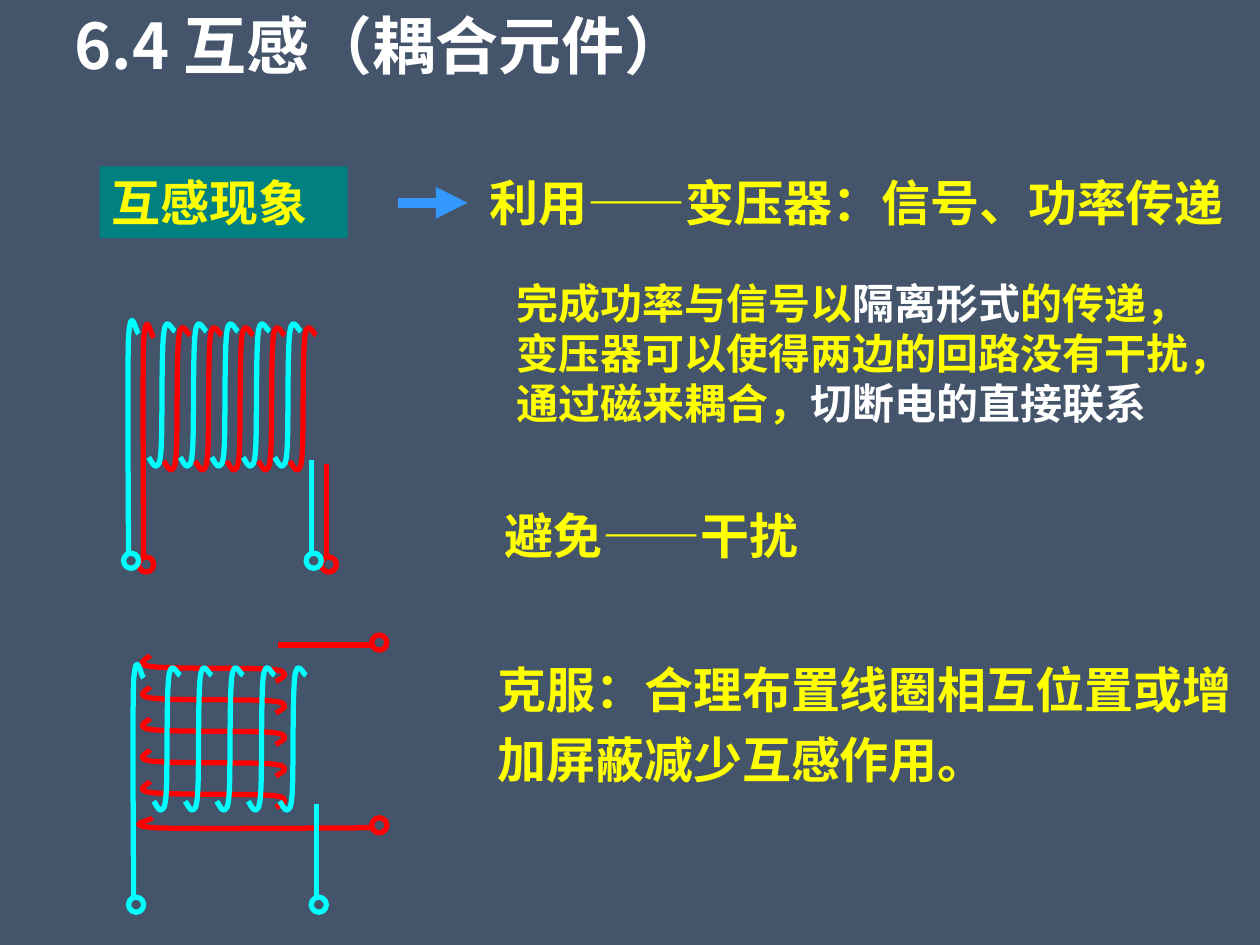
from dataclasses import dataclass

from lxml import etree
from pptx import Presentation
from pptx import util as u
from pptx.dml.color import RGBColor
from pptx.enum import shapes, text
from pptx.oxml.ns import qn


@dataclass(frozen=True)
class Theme:
    background: str = "44546A"
    label: str = "008080"
    yellow: str = "FFFF00"
    white: str = "FFFFFF"
    arrow: str = "3399FF"
    red: str = "FF0000"
    cyan: str = "00FFFF"
    title_font: str = "Noto Sans CJK SC"
    body_font: str = "Times New Roman"
    title_size: int = 36
    body_size: int = 28
    detail_size: int = 24
    wire: int = 3
    arrow_wire: int = 6


# Coil geometry in inches, measured from the coil's own top-left corner.
# Each curve is a start point followed by Bezier triples.
LEAD = [(0.04, 2), (0.04, 1.71), (0.03, 0.58), (0.04, 0.29),
        (0.06, 0), (0.1, 0.26), (0.12, 0.26)]
TURN = [(0, 1.24), (0.01, 1.25), (0.04, 1.32), (0.06, 1.31),
        (0.07, 1.29), (0.09, 1.33), (0.1, 1.16),
        (0.11, 0.98), (0.1, 0.41), (0.12, 0.25),
        (0.14, 0.1), (0.19, 0.24), (0.21, 0.24)]
TURN_COUNT, FIRST_TURN, TURN_PITCH = 5, 0.2, 0.25
TAIL = [(1.49, 1.26), (1.49, 2.01)]
TERMINALS = [(0.06, 2.06), (1.51, 2.06)]
TERMINAL_SIZE = 0.12


class SlideBuilder:
    def __init__(self, slide, theme):
        self.slide, self.theme = slide, theme
        fill = slide.background.fill
        fill.solid()
        fill.fore_color.rgb = RGBColor.from_string(theme.background)

    def stroke(self, shape, color, width):
        shape.line.color.rgb = RGBColor.from_string(color)
        shape.line.width = u.Pt(width)

    def set_text(self, shape, runs, size, font=None, frame_format=None, paragraph_format=None):
        """Fill a shape with one paragraph made of (wording, colour) runs."""
        frame = shape.text_frame
        frame_values = {
            "word_wrap": True,
            "auto_size": text.MSO_AUTO_SIZE.SHAPE_TO_FIT_TEXT,
            "vertical_anchor": text.MSO_ANCHOR.TOP,
        } | (frame_format or {})
        for name, value in frame_values.items():
            setattr(frame, name, value)
        paragraph = frame.paragraphs[0]
        paragraph_values = {"alignment": text.PP_ALIGN.LEFT} | (paragraph_format or {})
        for name, value in paragraph_values.items():
            setattr(paragraph, name, value)
        font_values = {"name": font or self.theme.body_font, "size": u.Pt(size), "bold": True}
        for wording, color in runs:
            run = paragraph.add_run()
            run.text = wording
            for name, value in font_values.items():
                setattr(run.font, name, value)
            run.font.color.rgb = RGBColor.from_string(color)

    def text_box(self, box, runs, size, **formats):
        self.set_text(self.slide.shapes.add_textbox(*map(u.Inches, box)), runs, size, **formats)

    def label(self, box, runs, size):
        plate = self.slide.shapes.add_shape(shapes.MSO_SHAPE.RECTANGLE, *map(u.Inches, box))
        plate.shadow.inherit = False
        plate.fill.solid()
        plate.fill.fore_color.rgb = RGBColor.from_string(self.theme.label)
        plate.line.fill.background()
        self.set_text(plate, runs, size)

    def line(self, parent, start, end, color, width):
        wire = parent.add_connector(shapes.MSO_CONNECTOR.STRAIGHT, *map(u.Inches, start + end))
        self.stroke(wire, color, width)
        etree.SubElement(wire._element.spPr, qn("a:effectLst"))
        return wire

    def arrow(self, start, end):
        wire = self.line(self.slide.shapes, start, end, self.theme.arrow, self.theme.arrow_wire)
        etree.SubElement(wire._element.spPr.find(qn("a:ln")), qn("a:tailEnd"), type="triangle")

    def curve(self, parent, points, color):
        start, *rest = [tuple(map(u.Inches, point)) for point in points]
        builder = parent.build_freeform(*start)
        builder.add_line_segments(rest, close=False)
        wire = builder.convert_to_shape()
        wire.shadow.inherit = False
        wire.fill.background()
        self.stroke(wire, color, self.theme.wire)
        # Turn every three straight segments into one Bezier segment
        segments = wire._element.findall(".//" + qn("a:lnTo"))
        for first in range(0, len(segments), 3):
            bezier = etree.Element(qn("a:cubicBezTo"))
            segments[first].addprevious(bezier)
            for segment in segments[first:first + 3]:
                bezier.append(segment[0])
                segment.getparent().remove(segment)

    def terminal(self, parent, center, color):
        corner = [value - TERMINAL_SIZE / 2 for value in center]
        ring = parent.add_shape(shapes.MSO_SHAPE.OVAL,
                                *map(u.Inches, corner + [TERMINAL_SIZE] * 2))
        ring.shadow.inherit = False
        ring.fill.background()
        self.stroke(ring, color, self.theme.wire)

    def coil(self, left, top, color, turned=False):
        """Draw a coil; a turned one is laid on its side, growing upwards."""
        def place(points, shift=0):
            if turned:
                return [(left + y, top - x - shift) for x, y in points]
            return [(left + x + shift, top + y) for x, y in points]

        parts = self.slide.shapes.add_group_shape().shapes
        self.curve(parts, place(LEAD), color)
        for turn in range(TURN_COUNT):
            self.curve(parts, place(TURN, FIRST_TURN + turn * TURN_PITCH), color)
        self.line(parts, *place(TAIL), color, self.theme.wire)
        for center in place(TERMINALS):
            self.terminal(parts, center, color)


def main():
    deck = Presentation()
    deck.slide_width, deck.slide_height = u.Inches(10), u.Inches(7.5)
    theme = Theme()
    page = SlideBuilder(deck.slides.add_slide(deck.slide_layouts[6]), theme)
    yellow, white = theme.yellow, theme.white

    # Phenomenon and its use
    page.label((0.79, 1.32, 1.97, 0.57), [("互感现象", yellow)], theme.body_size)
    page.text_box((3.79, 1.32, 6.57, 0.57),
                  [("利用——变压器：信号、功率传递", yellow)], theme.body_size)

    # Avoidance and remedy
    page.text_box((3.91, 3.96, 3.07, 0.57), [("避免——干扰", yellow)], theme.body_size)
    page.text_box((3.85, 5.09, 6.06, 1.18),
                  [("克服：合理布置线圈相互位置或增加屏蔽减少互感作用。", yellow)],
                  theme.body_size, paragraph_format={"line_spacing": 1.2})
    page.arrow((3.16, 1.61), (3.71, 1.61))

    # Title
    page.text_box((0.19, 0, 5.67, 0.71), [("6.4 互感（耦合元件）", white)],
                  theme.title_size, font=theme.title_font,
                  frame_format={"vertical_anchor": text.MSO_ANCHOR.MIDDLE},
                  paragraph_format={"alignment": text.PP_ALIGN.CENTER})

    # Transformer explanation
    page.text_box((4, 2.15, 5.76, 1.31), [
        ("完成功率与信号以", yellow),
        ("隔离形式", white),
        ("的传递，变压器可以使得两边的回路没有干扰，通过磁来耦合，", yellow),
        ("切断电的直接联系", white),
    ], theme.detail_size)

    # Parallel coils (coupled), then perpendicular coils (decoupled)
    page.coil(1.1, 2.42, theme.red)
    page.coil(0.98, 2.39, theme.cyan)
    page.coil(0.95, 6.61, theme.red, turned=True)
    page.coil(1.02, 5.12, theme.cyan)

    deck.save("out.pptx")


if __name__ == "__main__":
    main()
